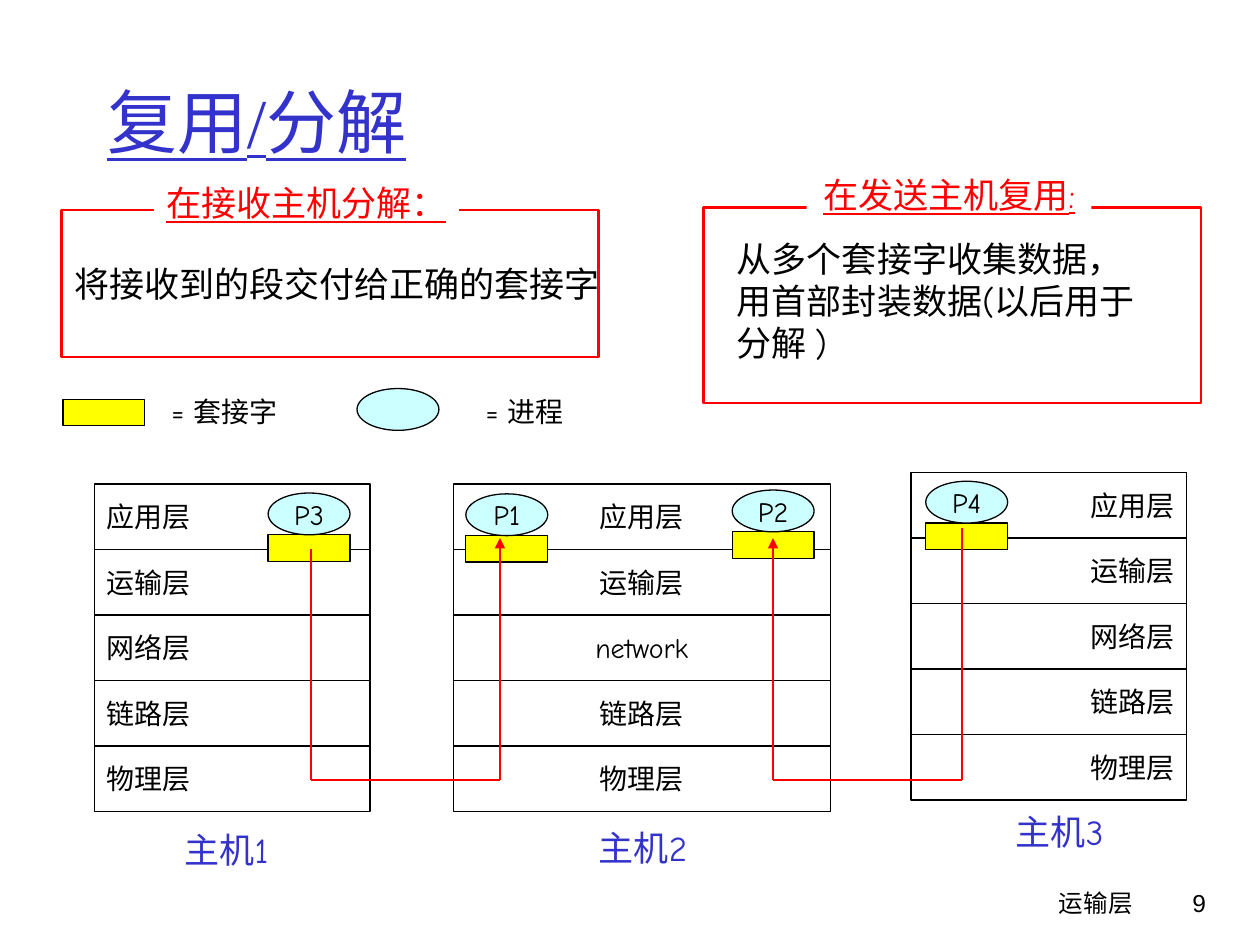
from dataclasses import dataclass
from itertools import pairwise

from lxml.etree import SubElement
from pptx import Presentation
from pptx.dml.color import RGBColor
from pptx.enum.shapes import MSO_CONNECTOR, MSO_SHAPE
from pptx.enum.text import MSO_ANCHOR, MSO_AUTO_SIZE, PP_ALIGN
from pptx.oxml.ns import qn
from pptx.util import Pt


@dataclass(frozen=True)
class Theme:
    ink: str = "000000"
    blue: str = "3333CC"
    red: str = "FF0000"
    yellow: str = "FFFF00"
    cyan: str = "CCFFFF"
    white: str = "FFFFFF"
    font: str = "Comic Neue"
    title_font: str = "Times New Roman"
    number_font: str = "Arial"
    title: int = 40
    body: int = 20
    label: int = 16
    footer: int = 14
    thin: float = 0.75
    thick: float = 1.5


THEME = Theme()
LAYER_HEIGHT = 37.44
SOCKET_SIZE = (46.8, 15.12)
PROCESS_SIZE = (46.8, 23.9)
LAYERS = ["应用层", "运输层", "网络层", "链路层", "物理层"]
MIDDLE_LAYERS = ["应用层", "运输层", "network", "链路层", "物理层"]


def write(shape, text, size, color=THEME.ink, align=PP_ALIGN.LEFT, font=THEME.font,
          underline=False, wrap=False, anchor=MSO_ANCHOR.MIDDLE):
    frame = shape.text_frame
    frame.text = text
    frame.word_wrap = wrap
    frame.auto_size = MSO_AUTO_SIZE.NONE
    frame.vertical_anchor = anchor
    para = frame.paragraphs[0]
    para.alignment = align
    for span in para.runs:
        span.font.size = Pt(size)
        span.font.name = font
        span.font.underline = underline
        span.font.color.rgb = RGBColor.from_string(color)


def add_box(page, kind, left, top, width, height, fill=None, line=None, weight=THEME.thin):
    shape = page.shapes.add_shape(kind, Pt(left), Pt(top), Pt(width), Pt(height))
    shape.shadow.inherit = False
    if fill:
        shape.fill.solid()
        shape.fill.fore_color.rgb = RGBColor.from_string(fill)
    else:
        shape.fill.background()
    if line:
        shape.line.color.rgb = RGBColor.from_string(line)
        shape.line.width = Pt(weight)
    else:
        shape.line.fill.background()
    return shape


def add_label(page, text, left, top, width, height, size, **style):
    box = page.shapes.add_textbox(Pt(left), Pt(top), Pt(width), Pt(height))
    write(box, text, size, anchor=MSO_ANCHOR.TOP, **style)


def add_socket(page, left, top):
    add_box(page, MSO_SHAPE.RECTANGLE, left, top, *SOCKET_SIZE, THEME.yellow, THEME.ink)


def add_process(page, left, top):
    return add_box(page, MSO_SHAPE.OVAL, left, top, *PROCESS_SIZE, THEME.cyan, THEME.ink)


def add_process_on_socket(page, name, left, top):
    add_socket(page, left, top + PROCESS_SIZE[1])
    write(add_process(page, left, top), name, THEME.label, align=PP_ALIGN.CENTER)


def add_host(page, layers, left, top, width, align):
    for index, layer in enumerate(layers):
        box = add_box(page, MSO_SHAPE.RECTANGLE, left, top + index * LAYER_HEIGHT,
                      width, LAYER_HEIGHT, THEME.white, THEME.ink)
        write(box, layer, THEME.label, align=align)


def add_route(page, points, arrow):
    segments = list(pairwise(points))
    for index, (start, end) in enumerate(segments):
        link = page.shapes.add_connector(
            MSO_CONNECTOR.STRAIGHT, *(Pt(value) for value in start + end))
        link.line.color.rgb = RGBColor.from_string(THEME.red)
        link.line.width = Pt(THEME.thick)
        properties = link.line._get_or_add_ln()
        if arrow and index == len(segments) - 1:
            SubElement(properties, qn("a:tailEnd"), type="triangle")
        SubElement(properties.getparent(), qn("a:effectLst"))


def add_frame(page, left, top, width, height):
    return add_box(page, MSO_SHAPE.RECTANGLE, left, top, width, height,
                   line=THEME.red, weight=THEME.thick)


def add_heading(page, text, left, top, width):
    box = add_box(page, MSO_SHAPE.RECTANGLE, left, top, width, 31.5, THEME.white)
    write(box, text, THEME.body, THEME.red, PP_ALIGN.CENTER, underline=True,
          anchor=MSO_ANCHOR.TOP)


def add_title(page, text):
    title = page.shapes.title
    title.left, title.top, title.width, title.height = Pt(54), Pt(24), Pt(612), Pt(90)
    write(title, text, THEME.title, THEME.blue, font=THEME.title_font,
          underline=True, wrap=True)


def main():
    deck = Presentation()
    deck.slide_width, deck.slide_height = Pt(720), Pt(540)
    page = deck.slides.add_slide(deck.slide_layouts[5])
    add_title(page, "复用/分解")

    add_host(page, LAYERS, 54, 276.5, 157.5, PP_ALIGN.LEFT)
    add_host(page, MIDDLE_LAYERS, 259, 276.5, 215.5, PP_ALIGN.CENTER)
    add_host(page, LAYERS, 520.6, 270, 157.5, PP_ALIGN.RIGHT)
    for name, left, top in [("P3", 153.2, 281.7), ("P1", 266.2, 282.2),
                            ("P2", 418.4, 280), ("P4", 529, 275)]:
        add_process_on_socket(page, name, left, top)
    for name, left, top in [("主机1", 95, 470), ("主机2", 333, 469), ("主机3", 571, 459.5)]:
        add_label(page, name, left, top, 69, 31.5, THEME.body, color=THEME.blue,
                  align=PP_ALIGN.CENTER)

    floor = 445.7
    for source, target, start in [(177.7, 285.7, 313.9), (549.7, 441.7, 301.7)]:
        add_route(page, [(source, start), (source, floor), (target, floor),
                         (target, 307.5)], arrow=True)

    add_socket(page, 36, 228.2)
    add_label(page, "= 套接字", 89, 222, 78.5, 26.6, THEME.label, align=PP_ALIGN.CENTER)
    add_process(page, 204, 222)
    add_label(page, "= 进程", 268.6, 222, 62.6, 26.6, THEME.label, align=PP_ALIGN.CENTER)

    receiver = add_frame(page, 35.2, 120, 306.8, 84)
    write(receiver, "将接收到的段交付给正确的套接字", THEME.body)
    add_heading(page, "在接收主机分解：", 88, 100.2, 174.2)
    add_frame(page, 402, 118.6, 284.4, 111.8)
    add_label(page, "从多个套接字收集数据，用首部封装数据(以后用于分解 )",
              414, 132, 252, 79.2, THEME.body, wrap=True)
    add_heading(page, "在发送主机复用:", 461, 95.8, 162.7)

    add_label(page, "运输层", 426.2, 504, 228.2, 36, THEME.footer,
              align=PP_ALIGN.RIGHT, wrap=True)
    add_label(page, "9", 643, 504, 53.3, 36, THEME.footer, align=PP_ALIGN.RIGHT,
              font=THEME.number_font, wrap=True)
    deck.save("out.pptx")


if __name__ == "__main__":
    main()
